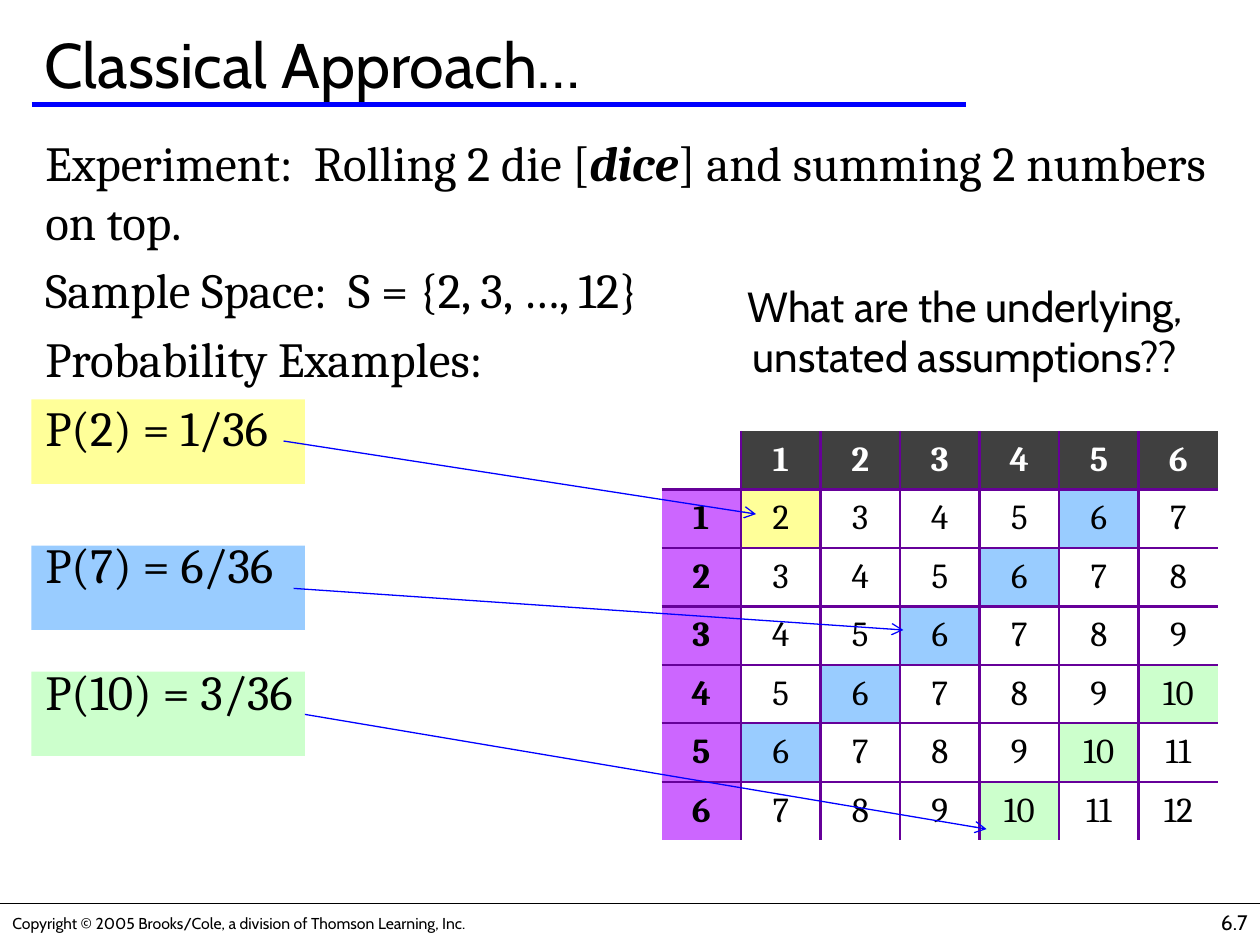
from dataclasses import dataclass

from pptx import Presentation
from pptx.dml.color import RGBColor
from pptx.enum.shapes import MSO_CONNECTOR, MSO_SHAPE
from pptx.enum.text import MSO_ANCHOR as Anchor, MSO_AUTO_SIZE as AutoSize, PP_ALIGN as Align
from pptx.oxml.ns import qn
from pptx.util import Emu, Inches, Pt
from lxml.etree import SubElement


@dataclass(frozen=True)
class Theme:
    sans: str = "Cabin"
    serif: str = "Cambria"
    ink: str = "000000"
    white: str = "FFFFFF"
    rule: str = "0000FF"
    header: str = "404040"
    side: str = "CC66FF"
    grid: str = "660099"
    yellow: str = "FFFF99"
    blue: str = "99CCFF"
    green: str = "CCFFCC"
    title: int = 36
    body: int = 28
    note: int = 24
    cell: int = 20
    number: int = 12
    footer: int = 9


THEME = Theme()
FACES = 6
SUM_FILLS = {2: THEME.yellow, 6: THEME.blue, 10: THEME.green}
CARDS = [(3.17, THEME.yellow), (4.33, THEME.blue), (5.33, THEME.green)]
ARROWS = [((2.25, 3.5), (6, 4.08)), ((2.33, 4.67), (7.17, 5)), ((2.42, 5.67), (7.83, 6.58))]
# Each line: space before in points, then (text, emphasised) spans
BODY = [
    (0, [("Experiment:  Rolling 2 die [", False), ("dice", True),
         ("] and summing 2 numbers on top.", False)]),
    (5.6, [("Sample Space:  S = {2, 3, …, 12}", False)]),
    (5.6, [("Probability Examples:", False)]),
    (5.6, [("P(2) = 1/36", False)]),
    (44.7, [("P(7) = 6/36", False)]),
    (39.1, [("P(10) = 3/36", False)]),
]


def set_all(target, values):
    for name, value in values.items():
        setattr(target, name, value)


def place(shape, left, top, width, height):
    set_all(shape, {"left": Inches(left), "top": Inches(top),
                    "width": Inches(width), "height": Inches(height)})


def add_span(para, text, face, size, color=THEME.ink, **extra):
    span = para.add_run()
    span.text = text
    set_all(span.font, {"name": face, "size": Pt(size), **extra})
    span.font.color.rgb = RGBColor.from_string(color)


def paint(fill, color):
    if color:
        fill.solid()
        fill.fore_color.rgb = RGBColor.from_string(color)
    else:
        fill.background()


def fill_title(shape):
    place(shape, 0.25, 0.17, 9.58, 0.67)
    set_all(shape.text_frame, {"vertical_anchor": Anchor.MIDDLE, "auto_size": AutoSize.NONE})
    para = shape.text_frame.paragraphs[0]
    para.alignment = Align.LEFT
    add_span(para, "Classical Approach…", THEME.sans, THEME.title)


def fill_body(shape):
    place(shape, 0.26, 1, 9.74, 6)
    frame = shape.text_frame
    frame.auto_size = AutoSize.NONE
    for index, (gap, spans) in enumerate(BODY):
        para = frame.add_paragraph() if index else frame.paragraphs[0]
        properties = para._p.get_or_add_pPr()
        properties.set("marL", "0")
        properties.set("indent", "0")
        SubElement(properties, qn("a:buNone"))
        para.space_before = Pt(gap)
        for text, strong in spans:
            add_span(para, text, THEME.serif, THEME.body, bold=strong, italic=strong)


def add_text(slide, bounds, text, size, align=Align.LEFT, anchor=Anchor.MIDDLE):
    box = slide.shapes.add_textbox(*map(Inches, bounds))
    set_all(box.text_frame, {"word_wrap": True, "vertical_anchor": anchor})
    para = box.text_frame.paragraphs[0]
    para.alignment = align
    add_span(para, text, THEME.sans, size)


def add_card(slide, top, color):
    """Adds a coloured block behind the body text."""
    card = slide.shapes.add_shape(
        MSO_SHAPE.RECTANGLE, *map(Inches, (0.25, top, 2.17, 0.67)))
    card.shadow.inherit = False
    paint(card.fill, color)
    card.line.fill.background()
    slide.shapes.title.element.addprevious(card.element)


def add_line(slide, start, end, color, width, arrow=False):
    line = slide.shapes.add_connector(
        MSO_CONNECTOR.STRAIGHT, *map(Inches, (*start, *end)))
    line.line.width = Pt(width)
    line.line.color.rgb = RGBColor.from_string(color)
    if arrow:
        SubElement(line.line._get_or_add_ln(), qn("a:tailEnd"), type="arrow")
    SubElement(line.element.spPr, qn("a:effectLst"))


def set_borders(cell, row, column):
    """Draws the inner grid lines and leaves the outer edge open."""
    drawn = {"L": column > 0 and (row, column) != (0, 0), "R": column < FACES,
             "T": row > 0, "B": row < FACES}
    properties = cell._tc.get_or_add_tcPr()
    for side, visible in drawn.items():
        border = SubElement(properties, qn(f"a:ln{side}"), w=str(Pt(1.5)))
        if visible:
            fill = SubElement(border, qn("a:solidFill"))
            SubElement(fill, qn("a:srgbClr"), val=THEME.grid)
        else:
            SubElement(border, qn("a:noFill"))


def cell_look(row, column):
    """Returns the text, fill, text colour and weight of a cell."""
    if row == column == 0:
        return "", None, THEME.ink, False
    if row == 0:
        return str(column), THEME.header, THEME.white, True
    if column == 0:
        return str(row), THEME.side, THEME.ink, True
    return str(row + column), SUM_FILLS.get(row + column), THEME.ink, False


def add_sum_table(slide):
    count = FACES + 1
    width, height = Inches(4.42), Inches(3.25)
    table = slide.shapes.add_table(
        count, count, Inches(5.25), Inches(3.42), width, height).table
    set_all(table, {"first_row": False, "horz_banding": False})
    for index in range(count):
        table.columns[index].width = Emu(width // count)
        table.rows[index].height = Emu(height // count)
    for row in range(count):
        for column in range(count):
            cell = table.cell(row, column)
            text, fill, color, bold = cell_look(row, column)
            set_borders(cell, row, column)
            paint(cell.fill, fill)
            cell.vertical_anchor = Anchor.MIDDLE
            if text:
                para = cell.text_frame.paragraphs[0]
                para.alignment = Align.CENTER
                add_span(para, text, THEME.serif, THEME.cell, color, bold=bold)


def main():
    deck = Presentation()
    set_all(deck, {"slide_width": Inches(10), "slide_height": Inches(7.5)})
    slide = deck.slides.add_slide(deck.slide_layouts[1])
    for top, color in CARDS:
        add_card(slide, top, color)
    fill_title(slide.shapes.title)
    fill_body(slide.placeholders[1])
    add_line(slide, (0.25, 0.83), (7.67, 0.83), THEME.rule, 2.5)
    add_sum_table(slide)
    for start, end in ARROWS:
        add_line(slide, start, end, THEME.rule, 0.75, arrow=True)
    add_text(slide, (5.67, 2.17, 3.98, 0.91),
             "What are the underlying, unstated assumptions??", THEME.note, Align.CENTER)
    add_line(slide, (0, 7.17), (10, 7.17), THEME.ink, 0.75)
    add_text(slide, (0, 7.2, 4.78, 0.25),
             "Copyright © 2005 Brooks/Cole, a division of Thomson Learning, Inc.", THEME.footer)
    add_text(slide, (7.92, 7.17, 2.08, 0.33), "6.7", THEME.number, Align.RIGHT, Anchor.TOP)
    deck.save("out.pptx")


if __name__ == "__main__":
    main()
